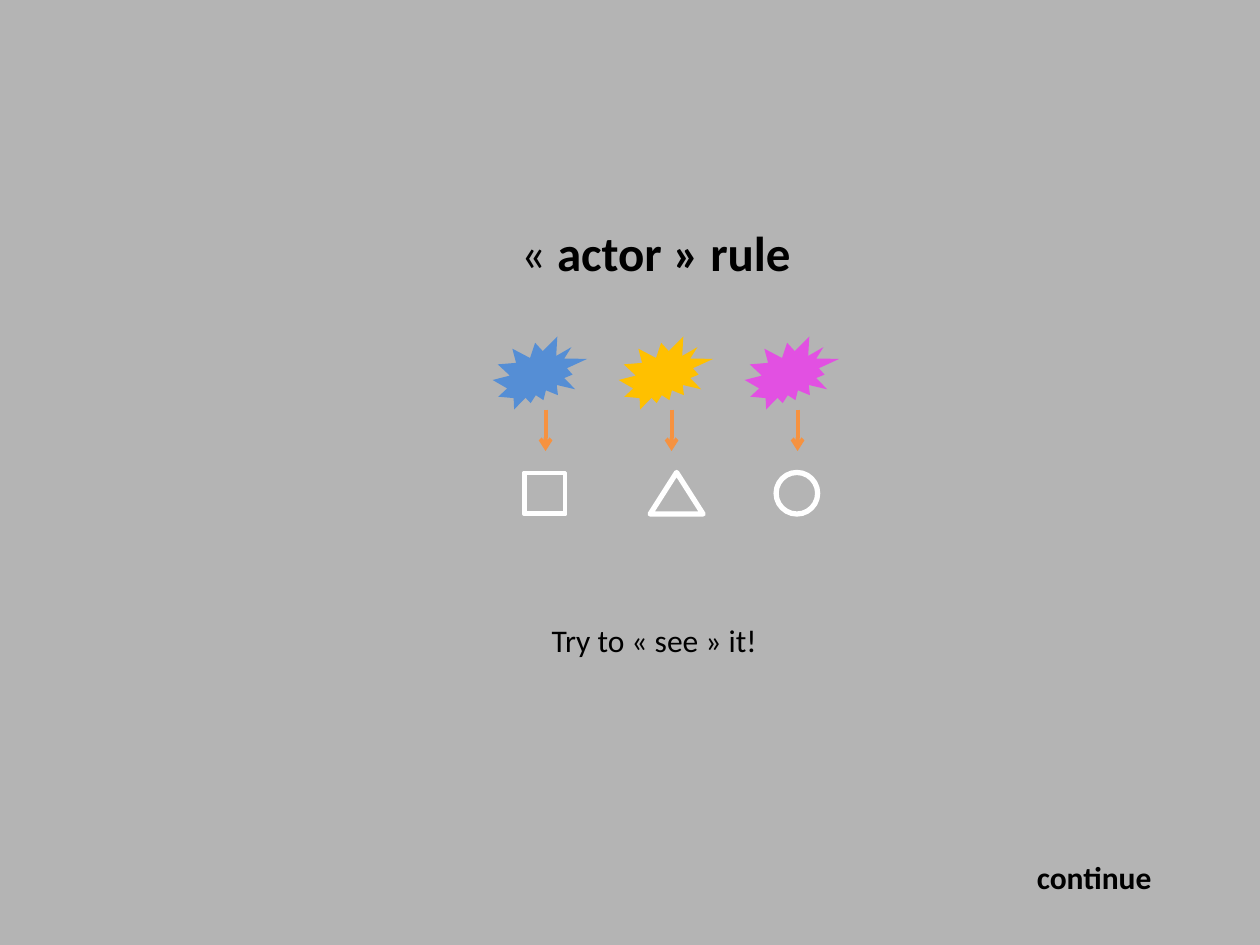
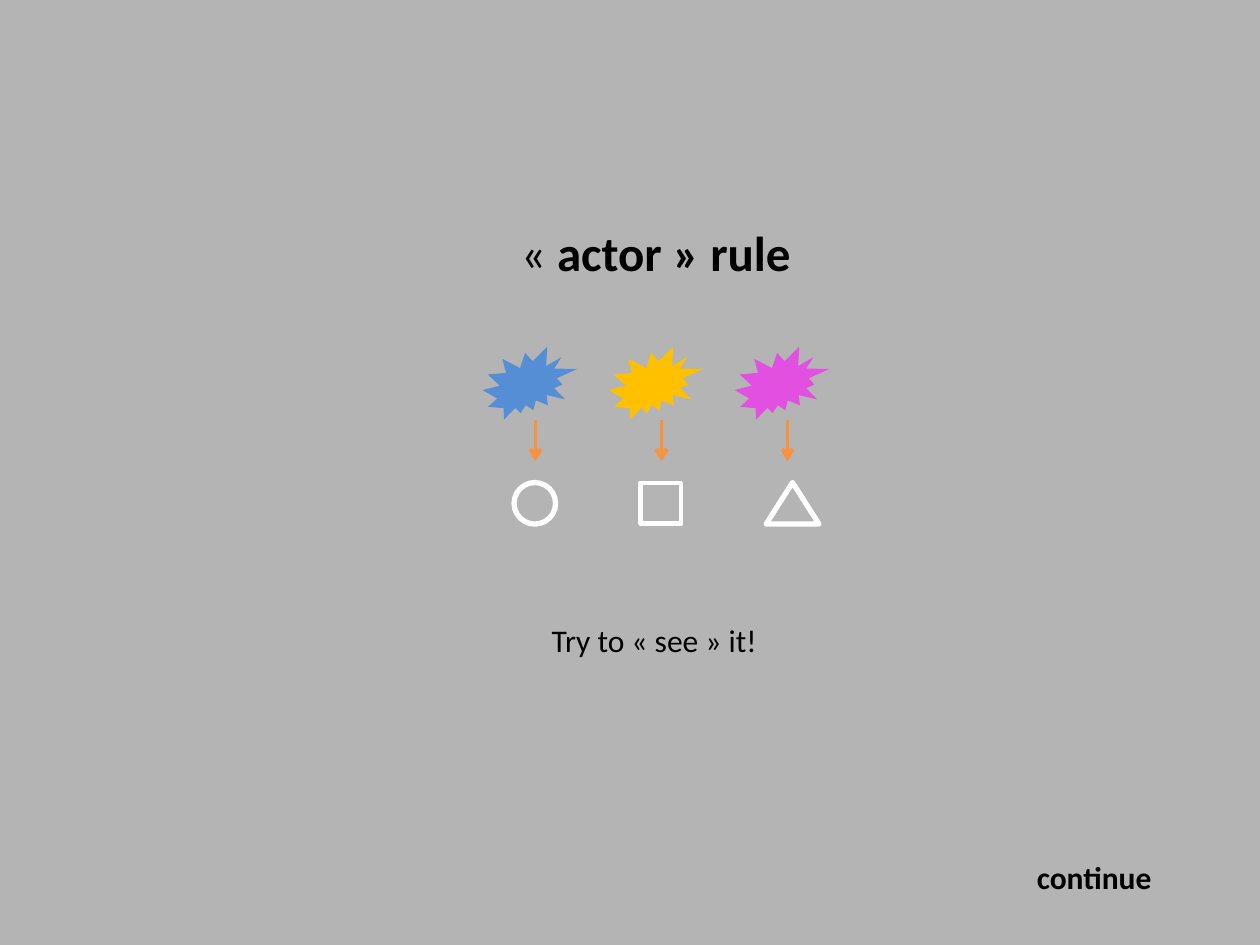
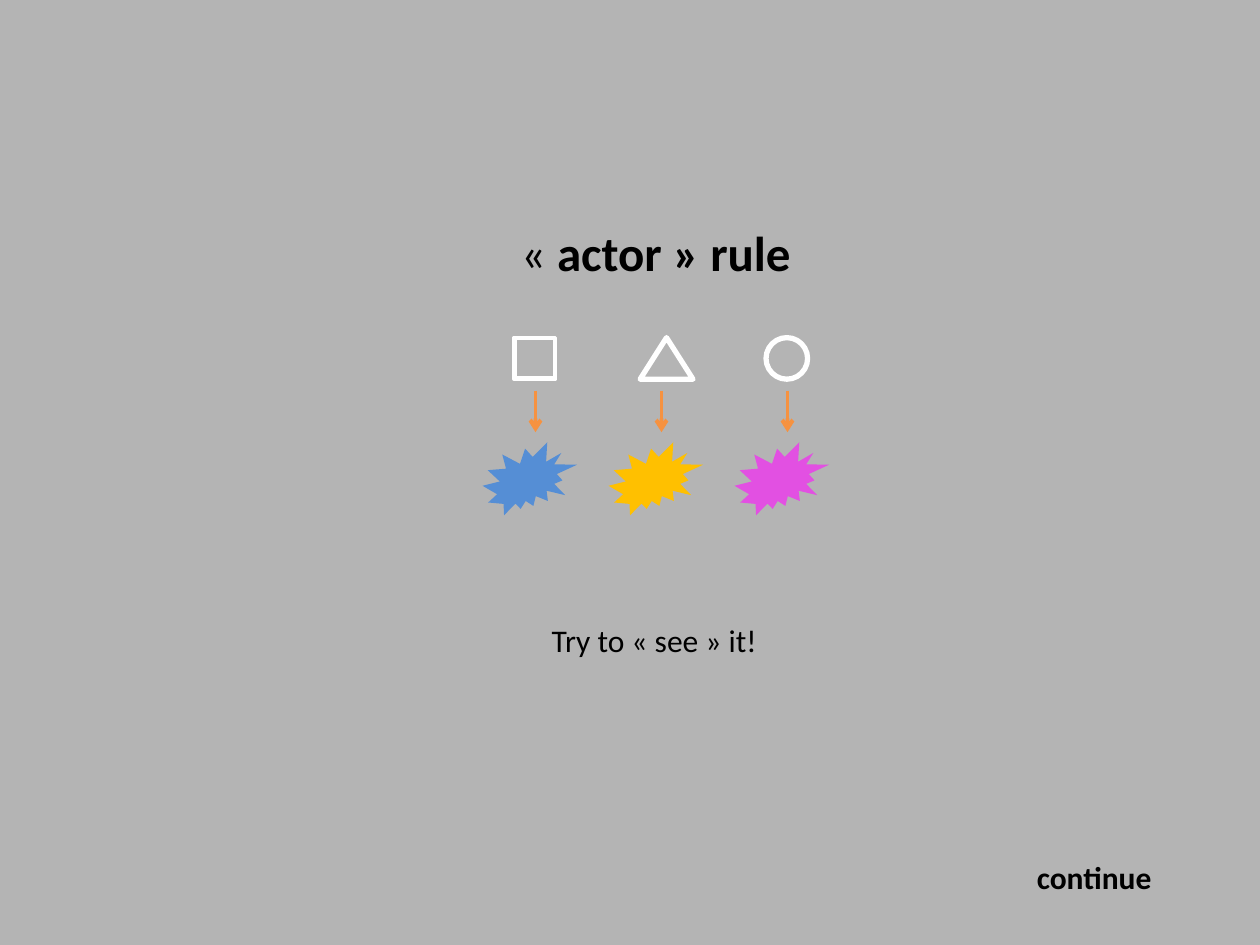
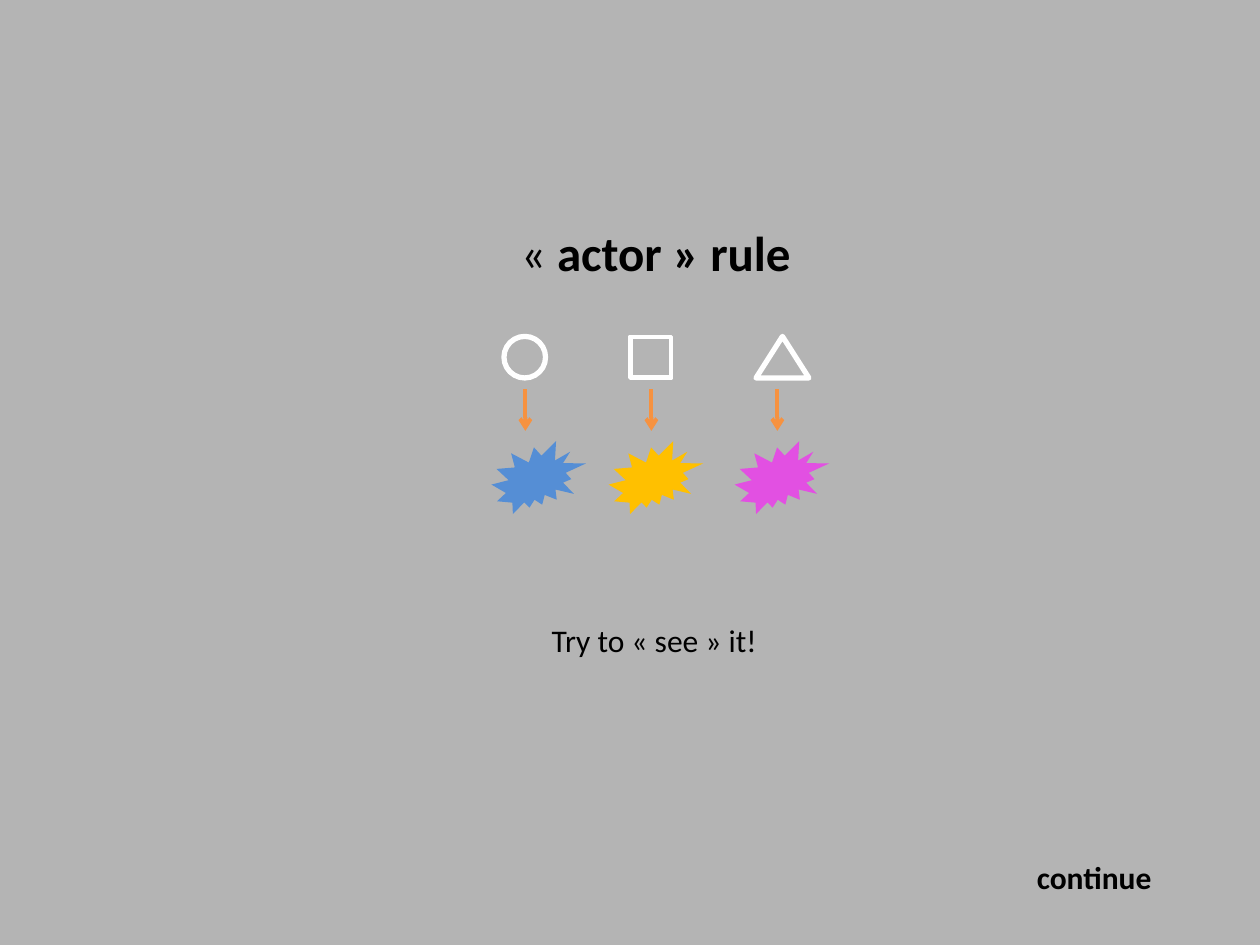
from lxml import etree
from pptx import Presentation
from pptx.dml.color import RGBColor
from pptx.enum.shapes import MSO_CONNECTOR, MSO_SHAPE
from pptx.enum.text import MSO_ANCHOR, MSO_AUTO_SIZE, PP_ALIGN
from pptx.oxml.ns import qn
from pptx.util import Inches, Pt

# Content
COLORS = {"background": "B4B4B4", "text": "000000", "outline": "FFFFFF", "arrow": "F69240",
          "blue": "558ED5", "yellow": "FFC000", "pink": "E250E2"}
FONT = "Calibri"
BURSTS = ["blue", "yellow", "pink"]

# Figures: preset, width, line width in points
FIGURES = {
    "square": (MSO_SHAPE.FRAME, 0.33, 2),
    "triangle": (MSO_SHAPE.ISOSCELES_TRIANGLE, 0.42, 3),
    "circle": (MSO_SHAPE.OVAL, 0.33, 3),
}

# Texts: box, runs as (text, bold), format values
TEXTS = [
    {"box": (0.58, 0.5, 9.25, 1.78), "size": 28,
     "runs": [("«\u00a0", False), ("actor\u00a0» rule", True)],
     "frame": {"word_wrap": True, "vertical_anchor": MSO_ANCHOR.BOTTOM},
     "align": PP_ALIGN.CENTER},
    {"box": (8.13, 6.76, 1.12, 0.4), "size": 18, "runs": [("continue", True)],
     "frame": {"word_wrap": False, "auto_size": MSO_AUTO_SIZE.SHAPE_TO_FIT_TEXT},
     "align": PP_ALIGN.LEFT},
    {"box": (4.28, 4.88, 1.85, 0.4), "size": 18, "runs": [("Try to «\u00a0see\u00a0» it!", False)],
     "frame": {"word_wrap": False, "auto_size": MSO_AUTO_SIZE.SHAPE_TO_FIT_TEXT},
     "align": PP_ALIGN.LEFT},
]

# Rules: first arrow x, top, order of figures, burst offsets from the arrows
SLIDES = [
    {"x": 4.33, "top": 2.67, "bursts_first": True,
     "figures": ["square", "triangle", "circle"], "offsets": [-0.42] * 3},
    {"x": 4.25, "top": 2.75, "bursts_first": True,
     "figures": ["circle", "square", "triangle"], "offsets": [-0.42] * 3},
    {"x": 4.25, "top": 2.68, "bursts_first": False,
     "figures": ["square", "triangle", "circle"], "offsets": [-0.42] * 3},
    {"x": 4.17, "top": 2.67, "bursts_first": False,
     "figures": ["circle", "square", "triangle"], "offsets": [-0.27, -0.34, -0.34]},
]

# Layout
COLUMN_STEP = 1
BURST_WIDTH, BURST_HEIGHT = 0.75, 0.58
FIGURE_HEIGHT, FIGURE_OFFSET = 0.33, -0.17
ARROW_LENGTH = 0.33


def color(name):
    return RGBColor.from_string(COLORS[name])


def add_text(slide, text):
    frame = slide.shapes.add_textbox(*map(Inches, text["box"])).text_frame
    for name, value in text["frame"].items():
        setattr(frame, name, value)
    paragraph = frame.paragraphs[0]
    paragraph.alignment = text["align"]
    for words, bold in text["runs"]:
        run = paragraph.add_run()
        run.text = words
        for name, value in {"name": FONT, "size": Pt(text["size"]), "bold": bold}.items():
            setattr(run.font, name, value)
        run.font.color.rgb = color("text")


def add_burst(slide, left, top, fill):
    shape = slide.shapes.add_shape(MSO_SHAPE.EXPLOSION2, *map(
        Inches, (left, top, BURST_WIDTH, BURST_HEIGHT)))
    shape.shadow.inherit = False
    shape.fill.solid()
    shape.fill.fore_color.rgb = color(fill)
    shape.line.fill.background()


def add_figure(slide, left, top, figure):
    preset, width, line_width = FIGURES[figure]
    shape = slide.shapes.add_shape(preset, *map(Inches, (left, top, width, FIGURE_HEIGHT)))
    shape.shadow.inherit = False
    shape.fill.background()
    shape.line.color.rgb = color("outline")
    shape.line.width = Pt(line_width)
    if preset == MSO_SHAPE.FRAME:
        shape.adjustments[0] = 0.022


def add_arrow(slide, x, top):
    arrow = slide.shapes.add_connector(MSO_CONNECTOR.STRAIGHT, *map(
        Inches, (x, top, x, top + ARROW_LENGTH)))
    arrow.line.color.rgb = color("arrow")
    arrow.line.width = Pt(2.25)
    properties = arrow.element.spPr
    etree.SubElement(properties.find(qn("a:ln")), qn("a:tailEnd"), type="arrow")
    etree.SubElement(properties, qn("a:effectLst"))


presentation = Presentation()
presentation.slide_width, presentation.slide_height = Inches(10), Inches(7.5)

for rule in SLIDES:
    slide = presentation.slides.add_slide(presentation.slide_layouts[6])
    slide.background.fill.solid()
    slide.background.fill.fore_color.rgb = color("background")

    # Rows stack downwards, in either order
    top = rule["top"]
    if rule["bursts_first"]:
        burst_top, arrow_top, figure_top = top, top + 0.58, top + 1.08
    else:
        figure_top, arrow_top, burst_top = top, top + 0.42, top + 0.83

    # Columns: one burst, arrow and figure each
    columns = zip(BURSTS, rule["figures"], rule["offsets"])
    for index, (burst, figure, offset) in enumerate(columns):
        x = rule["x"] + index * COLUMN_STEP
        add_burst(slide, x + offset, burst_top, burst)
        add_arrow(slide, x, arrow_top)
        add_figure(slide, x + FIGURE_OFFSET, figure_top, figure)

    for text in TEXTS:
        add_text(slide, text)

presentation.save("out.pptx")
